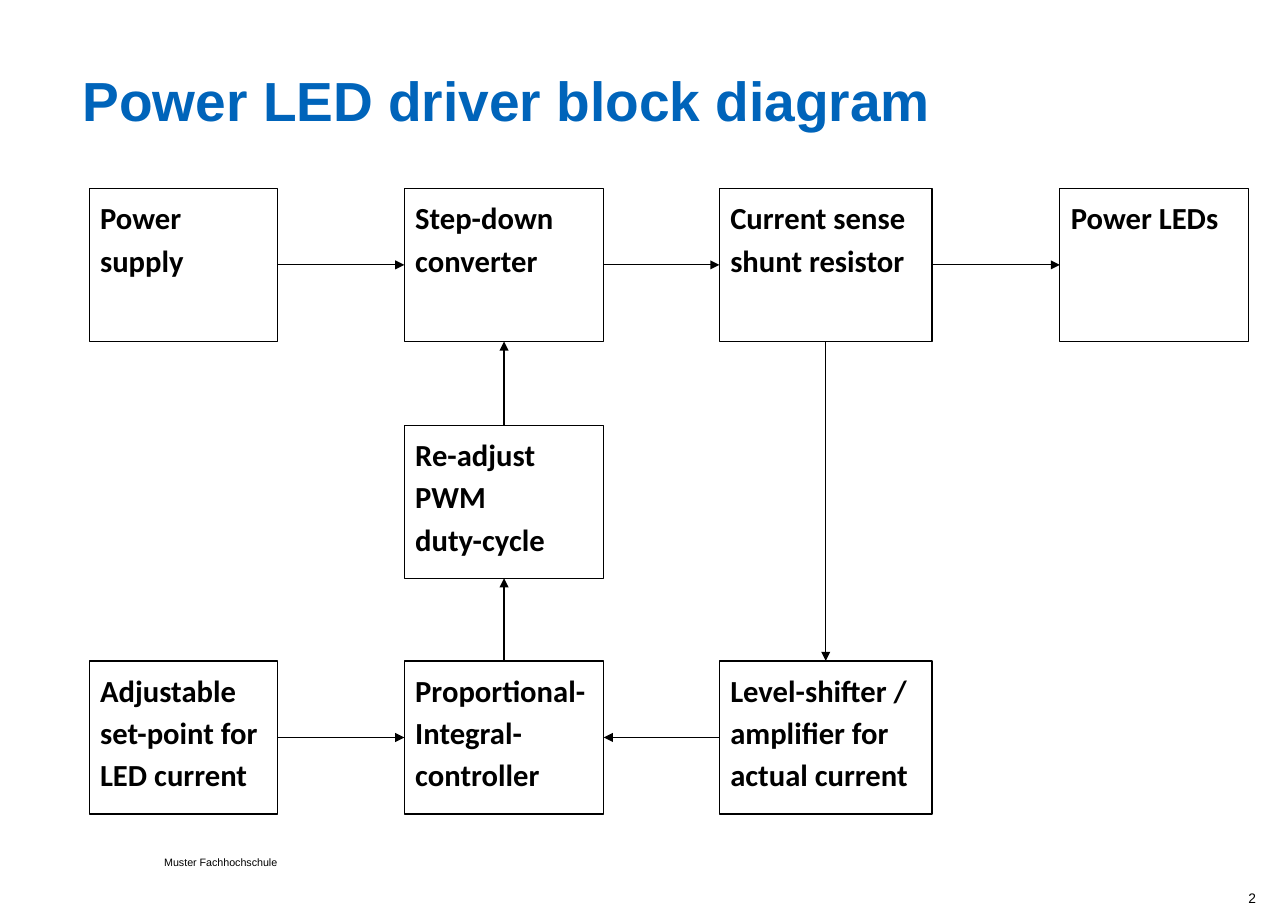
from dataclasses import dataclass

import pptx
import pptx.dml.color
import pptx.enum.shapes
import pptx.enum.text
import pptx.oxml
import pptx.oxml.ns
import pptx.util
from pptx.util import Inches, Pt

ALIGN = pptx.enum.text.PP_ALIGN
ANCHOR = pptx.enum.text.MSO_ANCHOR
TOP, LEFT, BOTTOM, RIGHT = range(4)


@dataclass(frozen=True)
class Theme:
    ink: str = "000000"
    paper: str = "FFFFFF"
    accent: str = "0064BA"
    head: str = "Arial"
    body: str = "Calibri"
    title: float = 36
    label: float = 20
    page: float = 9
    foot: float = 7
    line: float = 0.75


@dataclass(frozen=True)
class Block:
    key: str
    text: str
    col: int
    row: int


@dataclass(frozen=True)
class Link:
    start: str
    out: int
    end: str
    into: int


THEME = Theme()
COLS = [(0.81, 1.71), (3.67, 1.81), (6.53, 1.93), (9.62, 1.71)]  # left, width
ROWS = [1.71, 3.86, 6.0]
HEIGHT = 1.39

BLOCKS = [
    Block("supply", "Power supply", 0, 0),
    Block("step", "Step-down\vconverter", 1, 0),
    Block("sense", "Current sense shunt resistor", 2, 0),
    Block("leds", "Power LEDs", 3, 0),
    Block("duty", "Re-adjust PWM\vduty-cycle", 1, 1),
    Block("target", "Adjustable set-point for LED current", 0, 2),
    Block("control", "Proportional- Integral- controller", 1, 2),
    Block("shift", "Level-shifter /\vamplifier for actual current", 2, 2),
]
LINKS = [
    Link("supply", RIGHT, "step", LEFT),
    Link("step", RIGHT, "sense", LEFT),
    Link("sense", RIGHT, "leds", LEFT),
    Link("sense", BOTTOM, "shift", TOP),
    Link("shift", LEFT, "control", RIGHT),
    Link("target", RIGHT, "control", LEFT),
    Link("control", TOP, "duty", BOTTOM),
    Link("duty", TOP, "step", BOTTOM),
]


def paint(hue: str) -> pptx.dml.color.RGBColor:
    return pptx.dml.color.RGBColor.from_string(hue)


def write(shape, text: str, *, size: float, font: str = THEME.head,
          hue: str = THEME.ink, bold: bool = False, align=ALIGN.LEFT,
          anchor=ANCHOR.TOP, inset: tuple = (0, 0), pitch=None,
          after: float = 0) -> None:
    """Fill a shape with one paragraph; inset is (side, top) in inches."""
    frame = shape.text_frame
    frame.word_wrap = True
    frame.auto_size = pptx.enum.text.MSO_AUTO_SIZE.NONE
    frame.vertical_anchor = anchor
    frame.margin_left = frame.margin_right = Inches(inset[0])
    frame.margin_top = frame.margin_bottom = Inches(inset[1])
    para = frame.paragraphs[0]
    para.text = text
    para.alignment = align
    para.line_spacing = pitch
    para.space_before = Pt(0)
    para.space_after = Pt(after)
    for run in para.runs:
        run.font.name = font
        run.font.size = Pt(size)
        run.font.bold = bold
        run.font.color.rgb = paint(hue)


def stroke(line) -> None:
    line.color.rgb = paint(THEME.ink)
    line.width = Pt(THEME.line)


def draw_block(slide, block: Block):
    left, width = COLS[block.col]
    box = slide.shapes.add_shape(
        pptx.enum.shapes.MSO_SHAPE.RECTANGLE, Inches(left),
        Inches(ROWS[block.row]), Inches(width), Inches(HEIGHT))
    box.shadow.inherit = False
    box.fill.solid()
    box.fill.fore_color.rgb = paint(THEME.paper)
    stroke(box.line)
    write(box, block.text, size=THEME.label, font=THEME.body, bold=True,
          inset=(0.1, 0.05), pitch=1.15, after=10)
    return box


def draw_link(slide, link: Link, boxes: dict) -> None:
    wire = slide.shapes.add_connector(
        pptx.enum.shapes.MSO_CONNECTOR.STRAIGHT, 0, 0, 0, 0)
    wire.begin_connect(boxes[link.start], link.out)
    wire.end_connect(boxes[link.end], link.into)
    stroke(wire.line)
    space = pptx.oxml.ns.nsdecls("a")
    wire.line._get_or_add_ln().append(pptx.oxml.parse_xml(
        f'<a:tailEnd {space} type="triangle"/>'))
    wire._element.spPr.append(pptx.oxml.parse_xml(f"<a:effectLst {space}/>"))


def draw_title(slide, text: str) -> None:
    title = slide.shapes.title
    title.left, title.top = Inches(0.75), Inches(0.55)
    title.width, title.height = Inches(10.94), Inches(0.87)
    write(title, text, size=THEME.title, hue=THEME.accent, bold=True,
          anchor=ANCHOR.MIDDLE, pitch=Pt(31), after=16)


def add_note(slide, text: str, place: tuple, **style) -> None:
    """Add a small text box at place (left, top, width, height)."""
    write(slide.shapes.add_textbox(*map(Inches, place)), text, **style)


def main() -> None:
    deck = pptx.Presentation()
    deck.slide_width, deck.slide_height = Inches(11.69), Inches(8.27)
    slide = deck.slides.add_slide(deck.slide_layouts[5])
    draw_title(slide, "Power LED driver block diagram")
    add_note(slide, "Muster Fachhochschule", (1.49, 7.79, 1.32, 0.1),
             size=THEME.foot, pitch=Pt(7))
    add_note(slide, "2", (10.07, 8.05, 1.33, 0.21), size=THEME.page,
             align=ALIGN.RIGHT, anchor=ANCHOR.MIDDLE)
    boxes = {block.key: draw_block(slide, block) for block in BLOCKS}
    for link in LINKS:
        draw_link(slide, link, boxes)
    deck.save("out.pptx")


if __name__ == "__main__":
    main()
